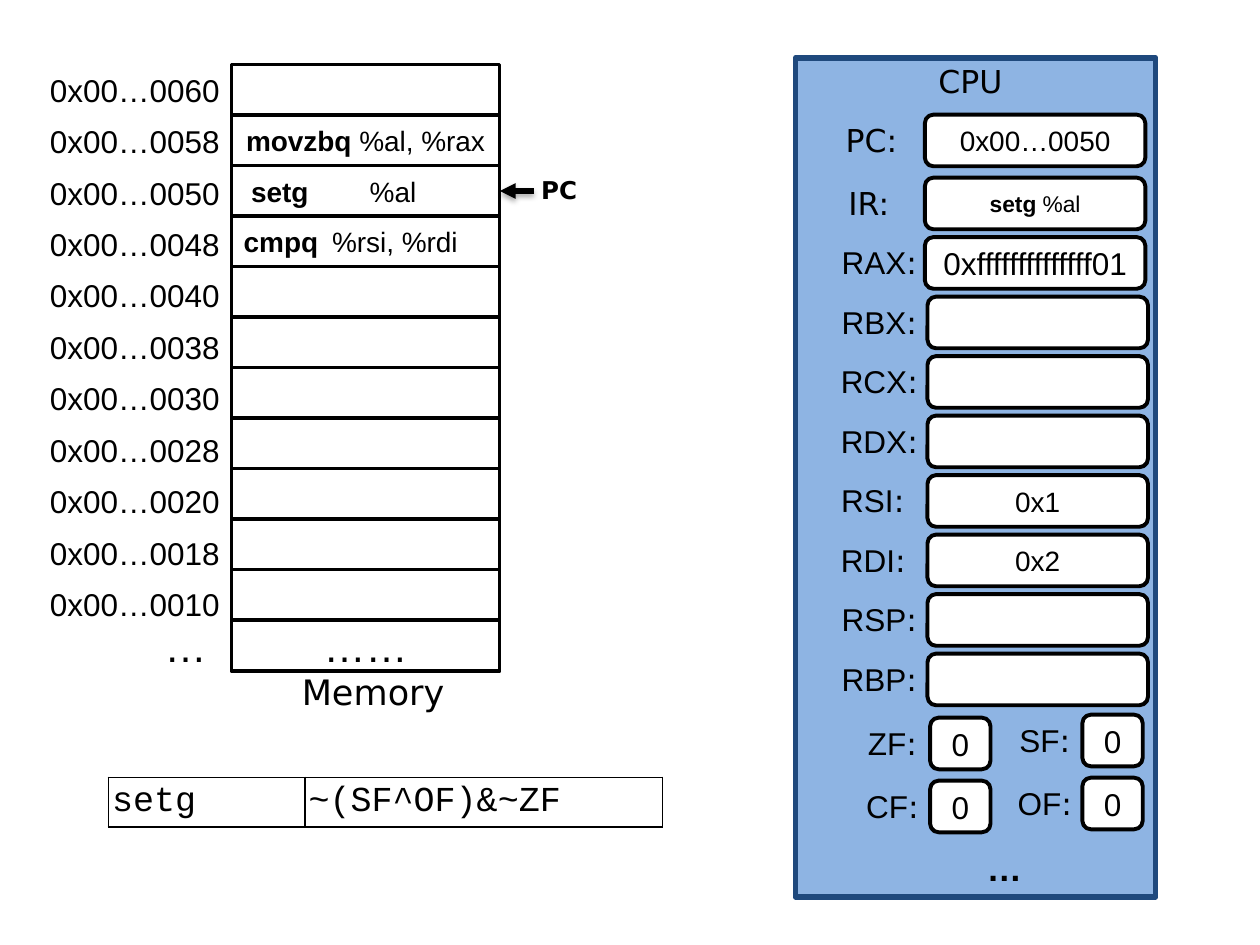
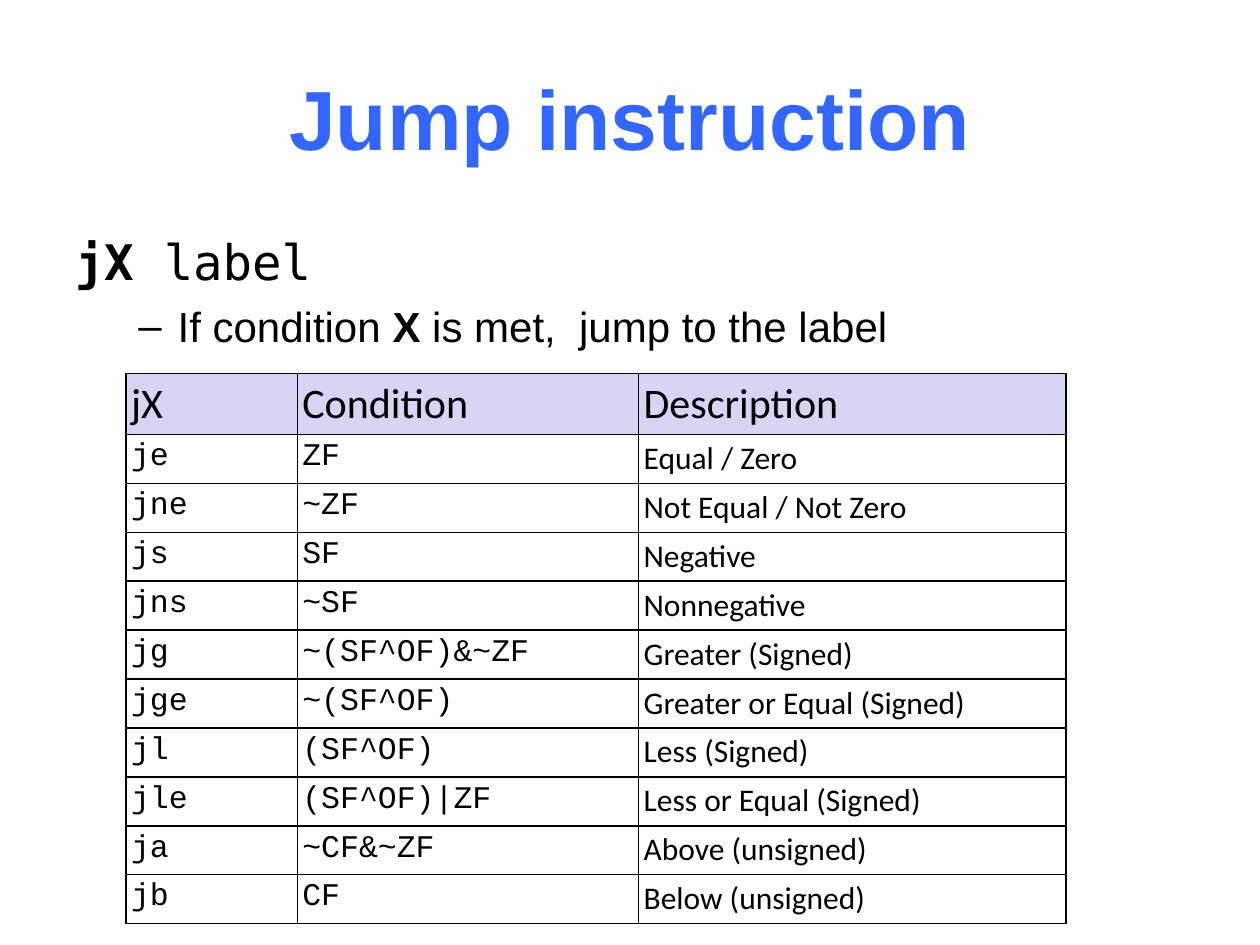
from lxml import etree
from pptx import Presentation
from pptx.dml.color import RGBColor
from pptx.enum import shapes, text
from pptx.oxml import ns
from pptx.util import Pt

BLACK = RGBColor(0x00, 0x00, 0x00)
WHITE = RGBColor(0xFF, 0xFF, 0xFF)
CPU_BLUE = RGBColor(0x8E, 0xB4, 0xE3)
CPU_EDGE = RGBColor(0x1F, 0x49, 0x7D)
TITLE_BLUE = RGBColor(0x33, 0x66, 0xFF)
HEADER_LILAC = RGBColor(0xD6, 0xD6, 0xF4)

SANS, LABEL, CODE = "Arial", "DejaVu Sans", "Courier New"
LEFT, CENTER, RIGHT = text.PP_ALIGN.LEFT, text.PP_ALIGN.CENTER, text.PP_ALIGN.RIGHT
RECT = shapes.MSO_SHAPE.RECTANGLE
ROUNDED = shapes.MSO_SHAPE.ROUNDED_RECTANGLE

MEMORY = [
    ("0x00…0060", []),
    ("0x00…0058", [("movzbq", True), (" %al, %rax", False)]),
    ("0x00…0050", [("setg", True), ("\t%al", False)]),
    ("0x00…0048", [("cmpq", True), ("\t%rsi, %rdi", False)]),
    *[(f"0x00…00{address:02x}", []) for address in range(0x40, 0x08, -8)],
    ("…", [("……", False)]),
]
PC_ROW = 2

# name, label width, label font, value runs, value size
REGISTERS = [
    ("PC", 47, LABEL, [("0x00…0050", False)], 16),
    ("IR", 44, LABEL, [("setg ", True), ("%al", False)], 13),
    ("RAX", 61, SANS, [("0xffffffffffffff01", False)], 18),
    ("RBX", 61, SANS, [], 16),
    ("RCX", 61, SANS, [], 16),
    ("RDX", 61, SANS, [], 16),
    ("RSI", 53.5, SANS, [("0x1", False)], 16),
    ("RDI", 54, SANS, [("0x2", False)], 16),
    ("RSP", 61, SANS, [], 16),
    ("RBP", 61, SANS, [], 16),
]
FLAGS = [[("ZF", "0"), ("SF", "0")], [("CF", "0"), ("OF", "0")]]

JUMPS = [
    ("jX", "Condition", "Description"),
    ("je", "ZF", "Equal / Zero"),
    ("jne", "~ZF", "Not Equal / Not Zero"),
    ("js", "SF", "Negative"),
    ("jns", "~SF", "Nonnegative"),
    ("jg", "~(SF^OF)&~ZF", "Greater (Signed)"),
    ("jge", "~(SF^OF)", "Greater or Equal (Signed)"),
    ("jl", "(SF^OF)", "Less (Signed)"),
    ("jle", "(SF^OF)|ZF", "Less or Equal (Signed)"),
    ("ja", "~CF&~ZF", "Above (unsigned)"),
    ("jb", "CF", "Below (unsigned)"),
]


def points(*lengths):
    return [Pt(length) for length in lengths]


def style(font, size, name=SANS, bold=False, color=BLACK):
    font.size, font.name, font.bold = Pt(size), name, bold
    font.color.rgb = color


def write(para, spans, size, name=SANS, align=LEFT):
    """Fill a paragraph with (words, bold) spans in one font."""
    para.alignment = align
    for words, bold in spans:
        span = para.add_run()
        span.text = words
        style(span.font, size, name, bold)


def add_label(page, box, words, size, name=SANS, align=CENTER, bold=False):
    label = page.shapes.add_textbox(*points(*box))
    frame = label.text_frame
    frame.word_wrap = False
    frame.auto_size = text.MSO_AUTO_SIZE.SHAPE_TO_FIT_TEXT
    write(frame.paragraphs[0], [(words, bold)], size, name, align)
    return frame.paragraphs[0]


def add_name(page, box, name, font):
    """Label a register or flag; the colon is always in the label font."""
    para = add_label(page, box, name, 18, font)
    write(para, [(":", False)], 18, LABEL, CENTER)


def add_block(page, kind, box, fill=WHITE, edge=BLACK, weight=2.0):
    block = page.shapes.add_shape(kind, *points(*box))
    block.shadow.inherit = False
    block.fill.solid()
    block.fill.fore_color.rgb = fill
    block.line.color.rgb = edge
    block.line.width = Pt(weight)
    block.text_frame.vertical_anchor = text.MSO_ANCHOR.MIDDLE
    return block


def add_value(page, box, spans, size):
    block = add_block(page, ROUNDED, box, weight=2.25)
    write(block.text_frame.paragraphs[0], spans, size, align=CENTER)


def insert_tab_stop(para, position):
    stops = etree.SubElement(para._p.get_or_add_pPr(), ns.qn("a:tabLst"))
    etree.SubElement(stops, ns.qn("a:tab"), pos=str(Pt(position)), algn="l")


def add_memory(page, left, top):
    """Stack of memory cells with addresses on the left and a PC arrow."""
    width, height, pitch, address_pitch = 153.4, 29.2, 28.87, 29.4
    for row, (address, spans) in enumerate(MEMORY):
        box = (left, top + row * pitch, width, height)
        block = add_block(page, RECT, box)
        para = block.text_frame.paragraphs[0]
        is_last = row == len(MEMORY) - 1
        has_tab = any("\t" in words for words, _ in spans)
        if has_tab:
            insert_tab_stop(para, 50.5)
        if row == PC_ROW:
            para._p.get_or_add_pPr().set("indent", str(Pt(4.2)))
            pc_block = block
        write(para, spans, 24 if is_last else 16,
              align=LEFT if has_tab else CENTER)
        if is_last:
            add_label(page, (left - 46, top + 314.5, 39, 36), address, 24, align=RIGHT)
        else:
            add_label(page, (left - 111.5, top + row * address_pitch, 112, 29),
                      address, 18, align=RIGHT)
    add_label(page, (left + 33, top + 342.5, 96, 32), "Memory", 20, LABEL)
    add_pc_arrow(page, pc_block, left + width, top + PC_ROW * pitch + height / 2)


def add_pc_arrow(page, block, tip, middle):
    arrow = page.shapes.add_connector(
        shapes.MSO_CONNECTOR.STRAIGHT, *points(tip + 19.4, middle, tip, middle))
    arrow.end_connect(block, 3)
    arrow.line.color.rgb = BLACK
    arrow.line.width = Pt(3)
    etree.SubElement(arrow.line._get_or_add_ln(), ns.qn("a:tailEnd"), type="triangle")
    effects = etree.SubElement(arrow._element.spPr, ns.qn("a:effectLst"))
    shadow = etree.SubElement(effects, ns.qn("a:outerShdw"), blurRad=str(Pt(3.1)),
                              dist=str(Pt(1.8)), dir="5400000", rotWithShape="0")
    color = etree.SubElement(shadow, ns.qn("a:srgbClr"), val=str(BLACK))
    etree.SubElement(color, ns.qn("a:alpha"), val="35000")
    add_label(page, (tip + 16.5, middle - 12.8, 35, 24.5), "PC", 14, LABEL, LEFT, True)


def add_cpu(page, left, top, width, height):
    add_block(page, RECT, (left, top, width, height), CPU_BLUE, CPU_EDGE, 3)
    add_label(page, (left + 74, top - 1.4, 52, 29), "CPU", 18, LABEL)

    value_height, pitch = 29.5, 34
    for row, (name, label_width, font, spans, size) in enumerate(REGISTERS):
        y = top + 34.4 + row * pitch - (2 if row == 0 else 0)
        label_left = left + (20 if row < 2 else 17.5)
        add_name(page, (label_left, y, label_width, 29), name, font)
        value_left = left + (74 if row < 3 else 75.5)
        add_value(page, (value_left, y, 126, value_height), spans, size)

    for row, pair in enumerate(FLAGS):
        for column, (name, value) in enumerate(pair):
            x = left + 77 + column * 87
            y = top + 377 + row * 36 - column * 1.7
            add_name(page, (x - 44.5, y, 46, 29), name, SANS)
            add_value(page, (x, y, 34.5, value_height), [(value, False)], 18)
    add_label(page, (left + 102, top + 447, 35, 32), "…", 20, bold=True)


def add_borders(cell):
    """Draw a 1-point black line on each side of the cell."""
    properties = cell._tc.get_or_add_tcPr()
    for place, side in enumerate(("lnL", "lnR", "lnT", "lnB")):
        line = etree.Element(ns.qn(f"a:{side}"), w=str(Pt(1)))
        fill = etree.SubElement(line, ns.qn("a:solidFill"))
        etree.SubElement(fill, ns.qn("a:srgbClr"), val=str(BLACK))
        properties.insert(place, line)


def add_grid(page, left, top, widths, heights, margin):
    """Plain bordered table; returns the table for its text to be set."""
    box = (left, top, sum(widths), sum(heights))
    grid = page.shapes.add_table(len(heights), len(widths), *points(*box)).table
    grid.first_row = grid.horz_banding = False
    for column, width in zip(grid.columns, widths):
        column.width = Pt(width)
    for row, height in zip(grid.rows, heights):
        row.height = Pt(height)
    for cell in grid.iter_cells():
        cell.margin_left = cell.margin_right = Pt(margin)
        cell.margin_top = cell.margin_bottom = Pt(margin)
        cell.fill.background()
        add_borders(cell)
    return grid


def add_setg_rule(page, left, top):
    grid = add_grid(page, left, top, [112.3, 204.5], [28], 2.16)
    for cell, words in zip(grid.iter_cells(), ("setg", "~(SF^OF)&~ZF")):
        cell.vertical_anchor = text.MSO_ANCHOR.MIDDLE
        write(cell.text_frame.paragraphs[0], [(words, False)], 20, CODE)


def add_jump_table(page, left, top):
    heights = [35] + [27.95] * (len(JUMPS) - 1)
    grid = add_grid(page, left, top, [97.9, 195.1, 244.1], heights, 2.88)
    for row, entries in enumerate(JUMPS):
        for column, words in enumerate(entries):
            cell = grid.cell(row, column)
            font = "Calibri" if row == 0 or column == 2 else CODE
            write(cell.text_frame.paragraphs[0], [(words, False)],
                  24 if row == 0 else 18, font)
            if row == 0:
                cell.fill.solid()
                cell.fill.fore_color.rgb = HEADER_LILAC


def add_title(page, words):
    frame = page.shapes.add_textbox(*points(36, 21.6, 648, 90)).text_frame
    frame.word_wrap = True
    frame.vertical_anchor = text.MSO_ANCHOR.MIDDLE
    frame.text = words
    para = frame.paragraphs[0]
    para.alignment = CENTER
    style(para.runs[0].font, 48, bold=True, color=TITLE_BLUE)


def add_jump_syntax(page, left, top, width, height):
    frame = page.shapes.add_textbox(*points(left, top, width, height)).text_frame
    frame.word_wrap = True
    frame.margin_top = Pt(6)
    write(frame.paragraphs[0], [("jX ", True), ("label", False)], 28, "DejaVu Sans Mono")
    meaning = frame.add_paragraph()
    properties = meaning._p.get_or_add_pPr()
    properties.set("marL", str(Pt(58.5)))
    properties.set("indent", str(Pt(-22.5)))
    etree.SubElement(properties, ns.qn("a:buFont"), typeface=SANS)
    etree.SubElement(properties, ns.qn("a:buChar"), char="–")
    meaning.space_before = Pt(6)
    write(meaning, [("If condition ", False), ("X ", True),
                    ("is met,  jump to the label", False)], 24)


def build_machine_page(page):
    add_cpu(page, 454.5, 33.1, 206, 479.5)
    add_memory(page, 132.2, 36.8)
    add_setg_rule(page, 61.9, 444.2)


def build_jump_page(page):
    add_title(page, "Jump instruction")
    add_jump_syntax(page, 36, 126, 648, 356)
    add_jump_table(page, 72, 213.3)


def main():
    deck = Presentation()
    deck.slide_width, deck.slide_height = points(720, 540)
    for build in (build_machine_page, build_jump_page):
        build(deck.slides.add_slide(deck.slide_layouts[6]))
    deck.save("out.pptx")


if __name__ == "__main__":
    main()
